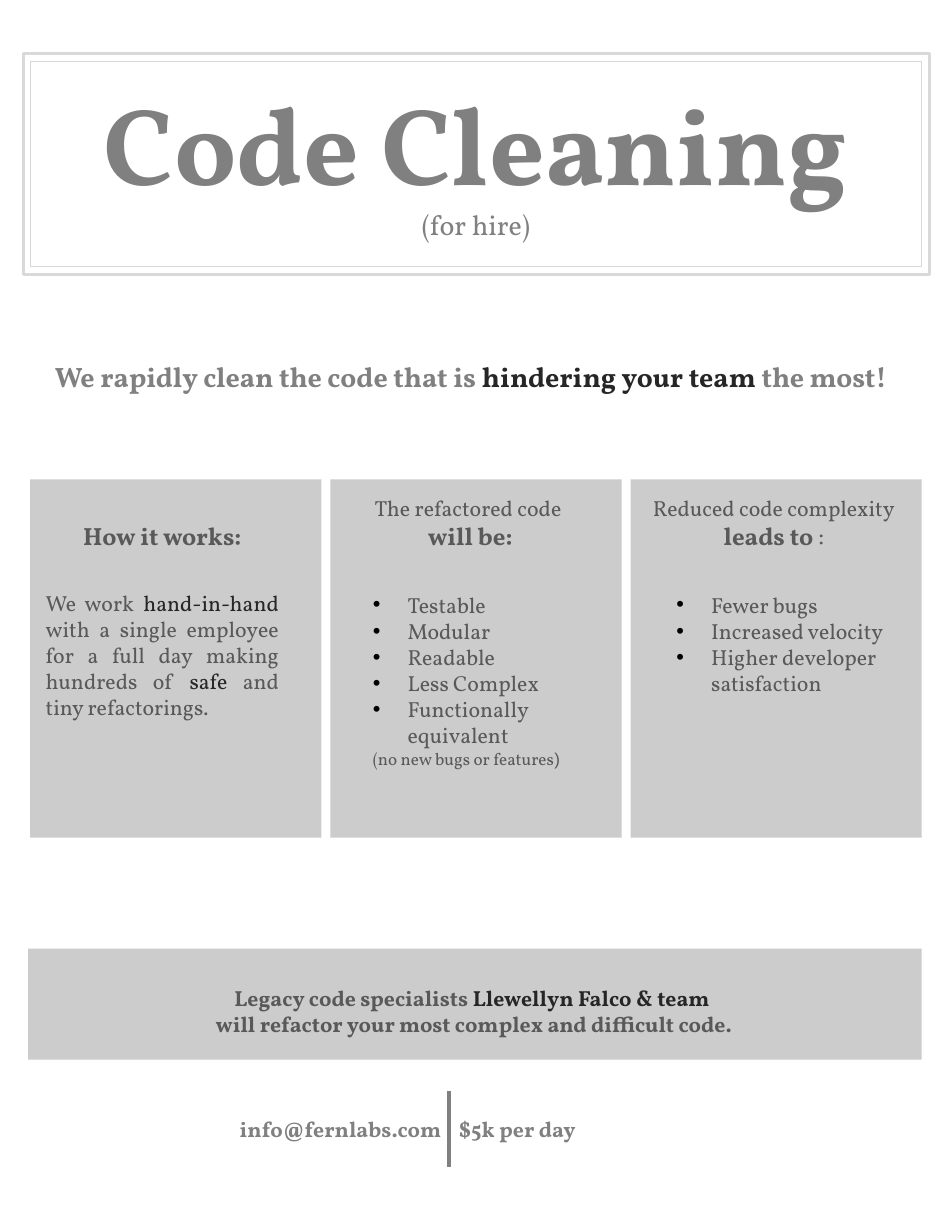
"""Build the one-page Code Cleaning flyer."""
import dataclasses

import lxml.etree
import pptx
import pptx.dml.color
import pptx.enum.shapes
import pptx.enum.text
import pptx.oxml.ns
import pptx.util

PX = 9144
ALIGN = pptx.enum.text.PP_ALIGN
ANCHOR = pptx.enum.text.MSO_ANCHOR


@dataclasses.dataclass(frozen=True)
class Theme:
    font: str = "Vollkorn"
    bullet_font: str = "Arial"
    panel: str = "CCCCCC"
    frame: str = "D9D9D9"
    light: str = "808080"
    body: str = "595959"
    strong: str = "262626"
    bullet: str = "000000"
    display: float = 70.4
    lead: int = 18
    heading: int = 16
    text: int = 14
    note: int = 11


THEME = Theme()


def px(*lengths):
    return [length * PX for length in lengths]


def rgb(value):
    return pptx.dml.color.RGBColor.from_string(value)


def write(paragraph, text, size=THEME.text, color=THEME.body, bold=False, font=THEME.font):
    run = paragraph.add_run()
    run.text = text
    run.font.size = pptx.util.Pt(size)
    run.font.color.rgb = rgb(color)
    run.font.bold = bold
    run.font.name = font


def add_block(slide, box, paragraphs, align=ALIGN.CENTER):
    """Each paragraph is a list of (text, format) runs."""
    frame = slide.shapes.add_textbox(*px(*box)).text_frame
    frame.word_wrap = True
    for index, runs in enumerate(paragraphs):
        paragraph = frame.add_paragraph() if index else frame.paragraphs[0]
        paragraph.alignment = align
        for text, style in runs:
            write(paragraph, text, **style)
    return frame


def add_box(slide, box, fill=None, line=None, weight=0):
    shape = slide.shapes.add_shape(pptx.enum.shapes.MSO_SHAPE.RECTANGLE, *px(*box))
    shape.shadow.inherit = False
    if fill:
        shape.fill.solid()
        shape.fill.fore_color.rgb = rgb(fill)
    else:
        shape.fill.background()
    if line:
        shape.line.color.rgb = rgb(line)
        shape.line.width = pptx.util.Pt(weight)
    else:
        shape.line.fill.background()


def add_divider(slide, x, top, bottom):
    divider = slide.shapes.add_connector(
        pptx.enum.shapes.MSO_CONNECTOR.STRAIGHT, *px(x, top, x, bottom))
    divider.line.color.rgb = rgb(THEME.light)
    divider.line.width = pptx.util.Pt(2.25)
    lxml.etree.SubElement(divider.element.spPr, pptx.oxml.ns.qn("a:effectLst"))


def place(placeholder, box, anchor):
    """Move a placeholder to its box and bring it to the front."""
    placeholder.left, placeholder.top, placeholder.width, placeholder.height = px(*box)
    tree = placeholder.element.getparent()
    tree.append(placeholder.element)
    frame = placeholder.text_frame
    frame.word_wrap = True
    frame.auto_size = pptx.enum.text.MSO_AUTO_SIZE.NONE
    frame.vertical_anchor = anchor
    return frame


def set_bullet(paragraph, shown):
    properties = paragraph._p.get_or_add_pPr()
    indent = 31 * PX if shown else 0
    properties.set("marL", str(indent))
    properties.set("indent", str(-indent))

    def add(parent, tag, **attributes):
        return lxml.etree.SubElement(parent, pptx.oxml.ns.qn(tag), **attributes)

    if shown:
        add(add(properties, "a:buClr"), "a:srgbClr", val=THEME.bullet)
        add(properties, "a:buFont", typeface=THEME.bullet_font)
        add(properties, "a:buChar", char="•")
    else:
        add(properties, "a:buNone")


def fill_list(placeholder, box, items):
    frame = place(placeholder, box, ANCHOR.TOP)
    for index, item in enumerate(items):
        paragraph = frame.add_paragraph() if index else frame.paragraphs[0]
        paragraph.space_before = pptx.util.Pt(0)
        set_bullet(paragraph, True)
        write(paragraph, item)
    return frame


def fill_title(placeholder):
    frame = place(placeholder, (66, 63, 718, 162), ANCHOR.BOTTOM)
    frame.margin_left = frame.margin_right = frame.margin_top = frame.margin_bottom = 10 * PX
    title = frame.paragraphs[0]
    title.alignment = ALIGN.CENTER
    write(title, "Code Cleaning", size=THEME.display, color=THEME.light, bold=True)
    title.add_line_break()
    write(title, "(for hire)", size=THEME.lead, color=THEME.light)


def add_columns(slide, benefits, outcomes):
    heading = dict(size=THEME.heading, bold=True)
    strong = dict(color=THEME.strong)
    for column in range(3):
        add_box(slide, (27 + 268 * column, 428, 260, 320), fill=THEME.panel)

    process = add_block(slide, (31, 460, 228, 241), [
        [("How it works:", heading)],
        [("We work ", {}), ("hand-in-hand", strong),
         (" with a single employee for a full day making hundreds of ", {}),
         ("safe", strong), (" and tiny refactorings. ", {})]])
    explanation = process.paragraphs[1]
    explanation.alignment = ALIGN.JUSTIFY
    explanation.space_before = pptx.util.Pt(25)

    add_block(slide, (295, 437, 246, 61), [
        [("The refactored code", {})], [(" ", {}), ("will be:", heading)]])
    add_block(slide, (563, 437, 256, 61), [
        [("Reduced code complexity", {})],
        [("leads to ", heading), (":", dict(size=THEME.heading))]])

    benefit_list = fill_list(benefits, (323, 523, 202, 170), [
        "Testable", "Modular", "Readable", "Less Complex", "Functionally equivalent"])
    note = benefit_list.add_paragraph()
    note.space_before = pptx.util.Pt(0)
    set_bullet(note, False)
    write(note, "(no new bugs or features", size=THEME.note)
    write(note, ")", size=THEME.note, font=THEME.bullet_font)
    fill_list(outcomes, (594, 523, 224, 104), [
        "Fewer bugs", "Increased velocity", "Higher developer satisfaction"])


def add_footer(slide):
    bold = dict(bold=True)
    contact = dict(color=THEME.light, bold=True)
    add_box(slide, (25, 847, 798, 99), fill=THEME.panel)
    add_block(slide, (25, 874, 793, 57), [
        [("Legacy code specialists ", bold),
         ("Llewellyn Falco & team", dict(color=THEME.strong, bold=True))],
        [(" will refactor your most complex and difficult code.", bold)]])
    add_block(slide, (400, 991, 213, 34), [[("$5k per day", contact)]], ALIGN.LEFT)
    add_block(slide, (191, 991, 213, 34), [[("info@fernlabs.com", contact)]], ALIGN.RIGHT)
    add_divider(slide, 401, 974, 1042)


def main():
    flyer = pptx.Presentation()
    flyer.slide_width, flyer.slide_height = px(850, 1100)
    slide = flyer.slides.add_slide(flyer.slide_layouts[3])
    title, benefits, outcomes = list(slide.placeholders)

    fill_title(title)
    add_box(slide, (21, 48, 809, 197), line=THEME.frame, weight=2.25)
    add_box(slide, (27, 55, 796, 183), line=THEME.frame, weight=0.75)
    lead = dict(size=THEME.lead, color=THEME.light, bold=True)
    add_block(slide, (24, 316, 793, 40), [[
        ("We rapidly clean the code that is ", lead),
        ("hindering your team ", {**lead, "color": THEME.strong}),
        ("the most!", lead)]])
    add_columns(slide, benefits, outcomes)
    add_footer(slide)
    flyer.save("out.pptx")


if __name__ == "__main__":
    main()
